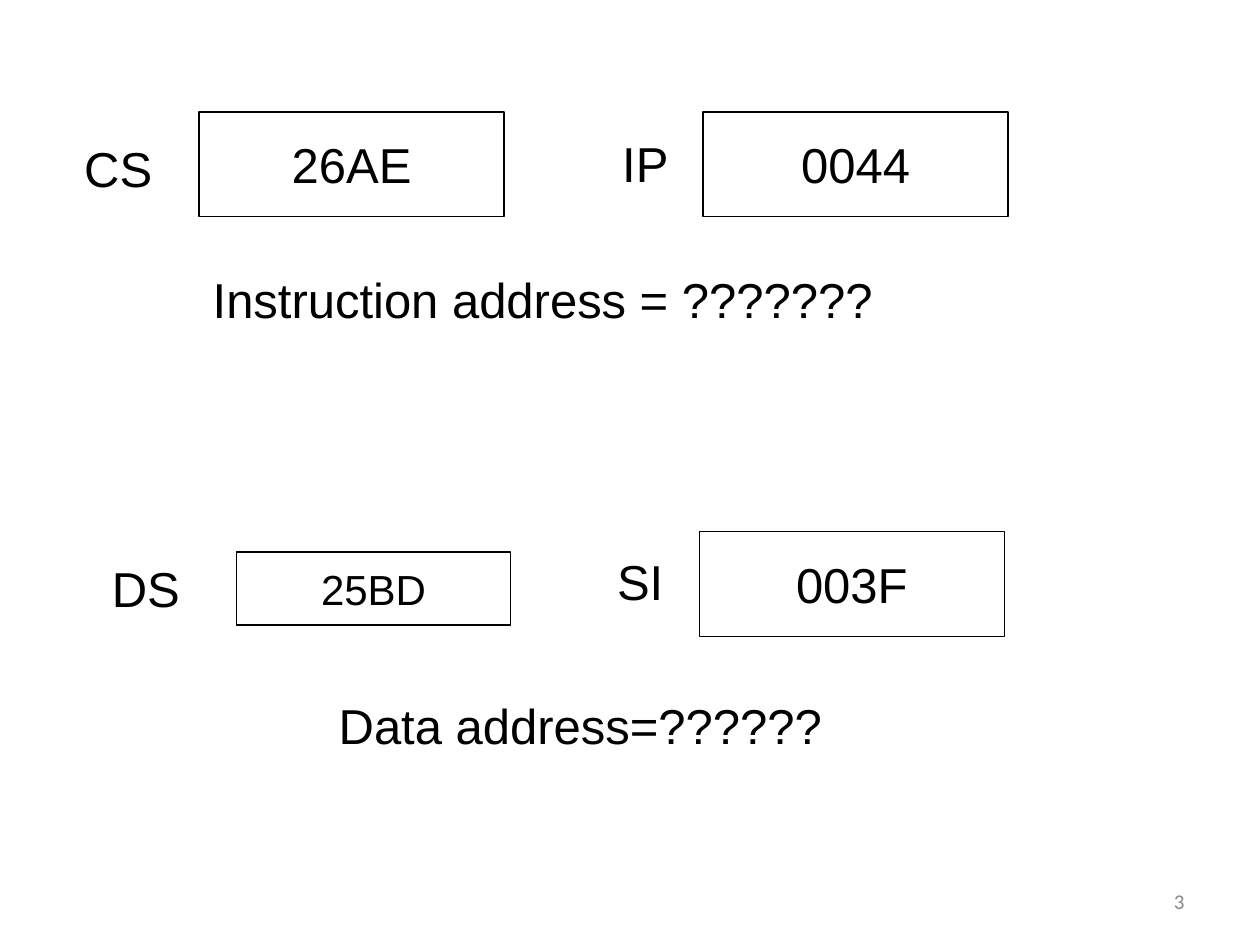
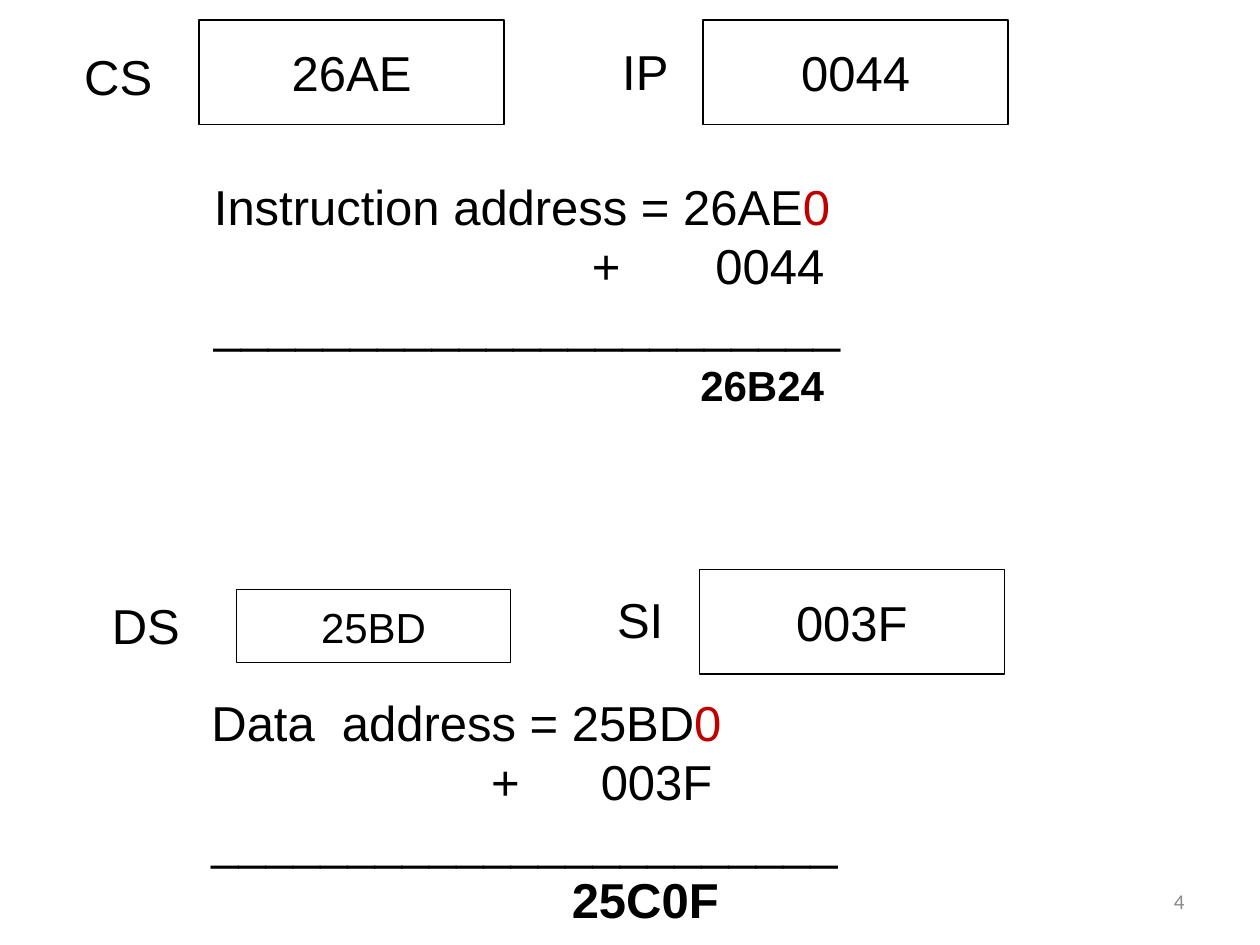
import pptx
import pptx.dml.color
import pptx.enum.shapes
import pptx.enum.text
import pptx.oxml.ns
import pptx.util
from lxml import etree
from pptx.util import Inches

COLORS = {"ink": "000000", "paper": "FFFFFF", "shifted": "C00000", "page": "898989"}
ALIGN = pptx.enum.text.PP_ALIGN
ANCHOR = pptx.enum.text.MSO_ANCHOR
LABEL_HEIGHT = 0.57
SUM_RULE = "_" * 23

# label, label left, label drop, value, box left, box drop, box width, box height, value size
CODE_REGISTERS = [
    ("CS", 0.57, 0.16, "26AE", 1.58, 0, 2.42, 0.83, 28),
    ("IP", 4.84, 0.12, "0044", 5.58, 0, 2.42, 0.83, 28),
]
DATA_REGISTERS = [
    ("DS", 0.79, 0.16, "25BD", 1.88, 0.16, 2.17, 0.58, 24),
    ("SI", 4.8, 0.11, "003F", 5.55, 0, 2.42, 0.83, 28),
]


def rgb(name):
    return pptx.dml.color.RGBColor.from_string(COLORS[name])


def add_run(paragraph, text, size=28, font="Arial", color="ink", bold=False):
    run = paragraph.add_run()
    run.text = text
    run.font.size = pptx.util.Pt(size)
    run.font.name = font
    run.font.bold = bold
    run.font.color.rgb = rgb(color)


def set_tabs(paragraph, stops):
    properties = paragraph._p.get_or_add_pPr()
    tab_list = etree.SubElement(properties, pptx.oxml.ns.qn("a:tabLst"))
    for stop in stops:
        etree.SubElement(tab_list, pptx.oxml.ns.qn("a:tab"),
                         pos=str(Inches(stop)), algn="l")


def add_text_box(slide, left, top, width, height, margin_right=0, anchor=ANCHOR.TOP):
    """Add a wrapping box; without a right margin, tight lines stay whole."""
    box = slide.shapes.add_textbox(
        Inches(left), Inches(top), Inches(width), Inches(height))
    frame = box.text_frame
    frame.word_wrap = True
    frame.margin_right = Inches(margin_right)
    frame.vertical_anchor = anchor
    return frame


def add_label(slide, text, left, top, width):
    frame = add_text_box(slide, left, top, width, LABEL_HEIGHT)
    add_run(frame.paragraphs[0], text)


def add_value_box(slide, value, left, top, width, height, size):
    box = slide.shapes.add_shape(
        pptx.enum.shapes.MSO_SHAPE.RECTANGLE,
        Inches(left), Inches(top), Inches(width), Inches(height))
    box.shadow.inherit = False
    box.fill.solid()
    box.fill.fore_color.rgb = rgb("paper")
    box.line.color.rgb = rgb("ink")
    box.line.width = pptx.util.Pt(0.75)
    box.text_frame.word_wrap = False
    box.text_frame.vertical_anchor = ANCHOR.MIDDLE
    paragraph = box.text_frame.paragraphs[0]
    paragraph.alignment = ALIGN.CENTER
    add_run(paragraph, value, size=size)


def add_registers(slide, registers, top):
    for (label, label_left, label_drop, value, box_left, box_drop,
         width, height, size) in registers:
        add_value_box(slide, value, box_left, top + box_drop, width, height, size)
        label_width = 0.74 if label.endswith("S") else 0.56
        add_label(slide, label, label_left, top + label_drop, label_width)


def add_address_sum(slide, left, top, segment, offset, total,
                    offset_stops, total_stop, total_size):
    """Write the shifted segment plus the offset, a rule and the total."""
    frame = add_text_box(slide, left, top, 5.16, 1.97)
    first = frame.paragraphs[0]
    add_run(first, segment)
    add_run(first, "0", color="shifted")

    addend = frame.add_paragraph()
    set_tabs(addend, offset_stops)
    add_run(addend, f"\t+\t{offset}")

    add_run(frame.add_paragraph(), SUM_RULE)

    result = frame.add_paragraph()
    set_tabs(result, [total_stop])
    add_run(result, "\t")
    add_run(result, total, size=total_size, bold=True)


def add_page_number(slide, number):
    frame = add_text_box(slide, 7.17, 6.95, 2.33, 0.4,
                         margin_right=0.1, anchor=ANCHOR.MIDDLE)
    frame.paragraphs[0].alignment = ALIGN.RIGHT
    add_run(frame.paragraphs[0], str(number), size=12, font="Calibri", color="page")


def add_register_slide(deck, code_top, data_top, page):
    slide = deck.slides.add_slide(deck.slide_layouts[6])
    add_registers(slide, CODE_REGISTERS, code_top)
    add_registers(slide, DATA_REGISTERS, data_top)
    add_page_number(slide, page)
    return slide


def main():
    deck = pptx.Presentation()
    deck.slide_width = Inches(10)
    deck.slide_height = Inches(7.5)

    question = add_register_slide(deck, code_top=0.89, data_top=4.22, page=3)
    add_label(question, "Instruction address = ???????", 1.59, 2.09, 5.43)
    add_label(question, "Data address=??????", 2.59, 5.47, 4.03)

    answer = add_register_slide(deck, code_top=0.16, data_top=4.52, page=4)
    add_address_sum(answer, 1.6, 1.35, "Instruction address = 26AE", "0044", "26B24",
                    offset_stops=[3, 3.98], total_stop=3.86, total_size=24)
    add_address_sum(answer, 1.58, 5.45, "Data  address = 25BD", "003F", "25C0F",
                    offset_stops=[2.22, 3.09], total_stop=2.86, total_size=28)

    deck.save("out.pptx")


if __name__ == "__main__":
    main()
